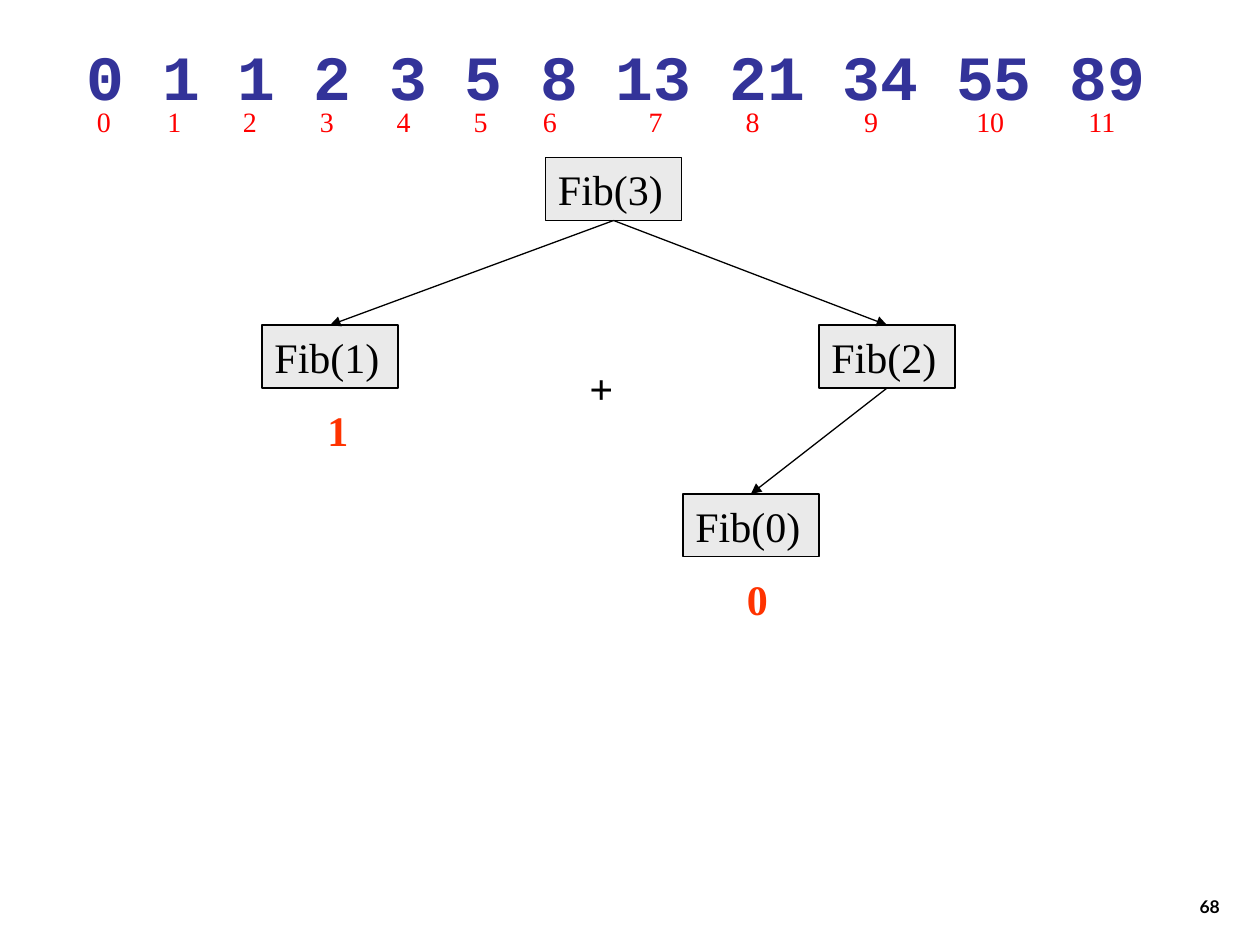
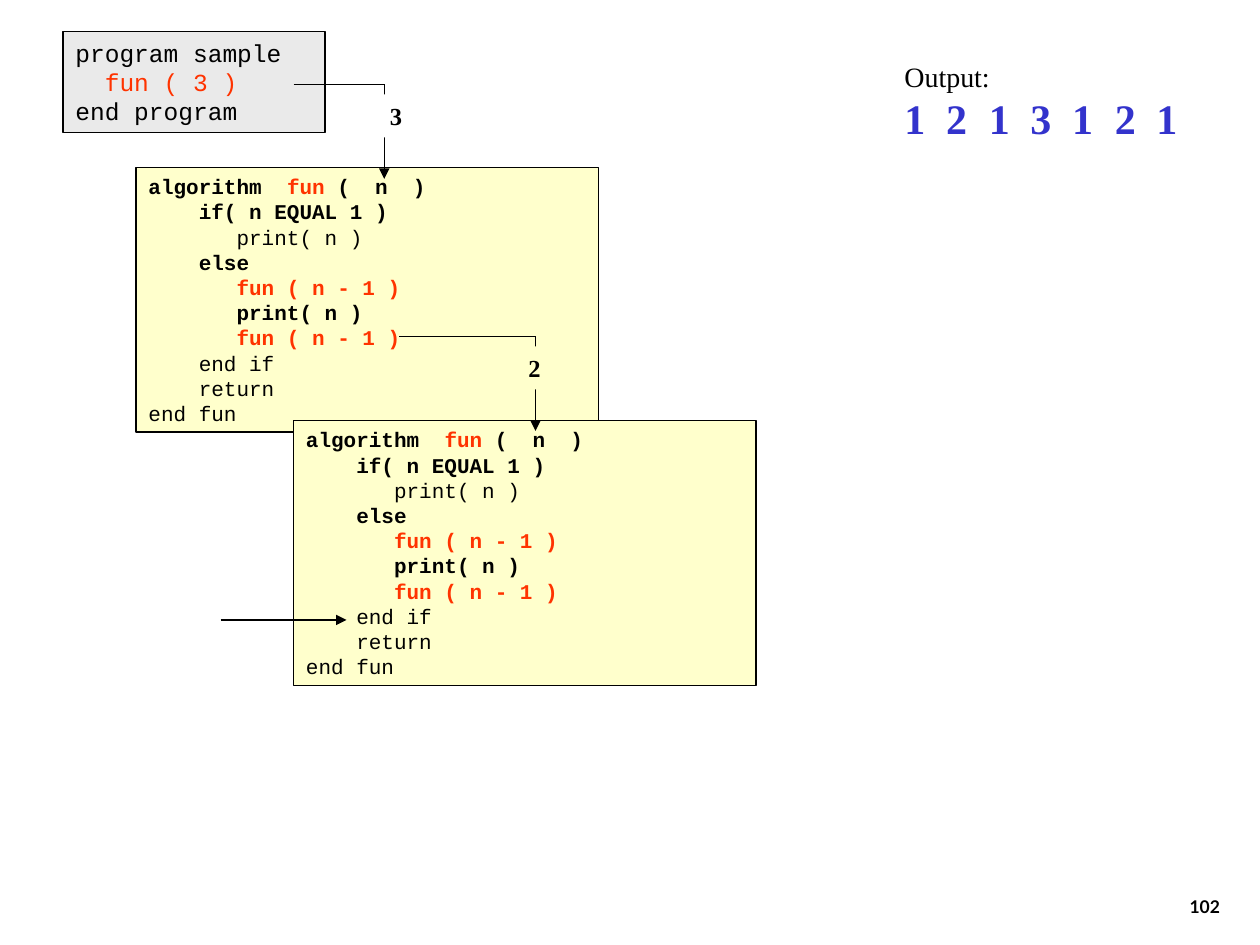
from lxml import etree
from pptx import Presentation
from pptx.dml.color import RGBColor
from pptx.enum import shapes, text
from pptx.oxml import ns
from pptx.util import Inches, Pt

BLACK = RGBColor(0x00, 0x00, 0x00)
WHITE = RGBColor(0xFF, 0xFF, 0xFF)
GRAY = RGBColor(0xEA, 0xEA, 0xEA)
CREAM = RGBColor(0xFF, 0xFF, 0xCC)
ORANGE = RGBColor(0xFF, 0x33, 0x00)
RED = RGBColor(0xFF, 0x00, 0x00)
NAVY = RGBColor(0x33, 0x33, 0x99)
BLUE = RGBColor(0x33, 0x33, 0xCC)

SERIF, MONO, SANS = "Times New Roman", "Courier New", "Lato"
LINE_WIDTH = Pt(0.75)
NODE_W, NODE_H = 1.08, 0.5

FIBONACCI = [0, 1, 1, 2, 3, 5, 8, 13, 21, 34, 55, 89]
INDEX_STOPS = [0.56, 1.16, 1.77, 2.38, 2.99, 3.54, 4.38, 5.15, 6.09, 6.98, 7.87]
OUTPUT = [1, 2, 1, 3, 1, 2, 1]

BOLD = {"bold": True}
CALL = {"bold": True, "color": ORANGE}
PROGRAM = ["program sample", [("  fun ( 3 )", {"color": ORANGE})], "end program"]
ALGORITHM = [
    [("algorithm  ", BOLD), ("fun ", CALL), ("(  n  )", BOLD)],
    [("    if( n EQUAL 1 )", BOLD)],
    "       print( n )",
    [("    else", BOLD)],
    [("       fun ( n - 1 )", CALL)],
    [("       print( n )", BOLD)],
    [("       fun ( n - 1 )", CALL)],
    "    end if",
    "    return",
    "end fun",
]


def set_tabs(paragraph, stops):
    tab_list = etree.SubElement(paragraph._p.get_or_add_pPr(), ns.qn("a:tabLst"))
    for stop in stops:
        etree.SubElement(tab_list, ns.qn("a:tab"), pos=str(Inches(stop)), algn="l")


def add_text(slide, box, paragraphs, size, font=SERIF, color=BLACK, bold=False,
             fill=None, border=False, align=text.PP_ALIGN.LEFT,
             anchor=text.MSO_ANCHOR.TOP, wrap=True, tabs=()):
    """Each paragraph is a string or a list of (words, format changes)."""
    place = [Inches(v) for v in box]
    if fill is None:
        holder = slide.shapes.add_textbox(*place)
    else:
        holder = slide.shapes.add_shape(shapes.MSO_SHAPE.RECTANGLE, *place)
        holder.shadow.inherit = False
        holder.fill.solid()
        holder.fill.fore_color.rgb = fill
        if border:
            holder.line.color.rgb = BLACK
            holder.line.width = LINE_WIDTH
        else:
            holder.line.fill.background()
    frame = holder.text_frame
    frame.word_wrap = wrap
    frame.vertical_anchor = anchor
    for i, content in enumerate(paragraphs):
        paragraph = frame.add_paragraph() if i else frame.paragraphs[0]
        paragraph.alignment = align
        if tabs:
            set_tabs(paragraph, tabs)
        runs = [(content, {})] if isinstance(content, str) else content
        for words, changes in runs:
            run = paragraph.add_run()
            run.text = words
            run.font.name = font
            run.font.size = Pt(changes.get("size", size))
            run.font.bold = changes.get("bold", bold)
            run.font.color.rgb = changes.get("color", color)
    return holder


def add_line(slide, start, end, arrow=True):
    line = slide.shapes.add_connector(
        shapes.MSO_CONNECTOR.STRAIGHT, *[Inches(v) for v in (*start, *end)])
    line.line.color.rgb = BLACK
    line.line.width = LINE_WIDTH
    if arrow:
        etree.SubElement(line.line._get_or_add_ln(), ns.qn("a:tailEnd"), type="triangle")
    etree.SubElement(line._element.spPr, ns.qn("a:effectLst"))
    return line


def add_page_number(slide, number):
    add_text(slide, (7.7, 6.83, 2.08, 0.5), [str(number)], 10, font=SANS, bold=True,
             align=text.PP_ALIGN.RIGHT, anchor=text.MSO_ANCHOR.BOTTOM)


# Fibonacci tree
def add_sequence(slide, left, top):
    add_text(slide, (left, top, 8.9, 0.7), [" ".join(map(str, FIBONACCI))], 36,
             font=MONO, color=NAVY, bold=True, wrap=False)
    indexes = "\t".join(str(i) for i in range(len(FIBONACCI)))
    add_text(slide, (left + 0.08, top + 0.53, 8.42, 0.37), [indexes], 16,
             color=RED, tabs=INDEX_STOPS)


def add_node(slide, left, top, n, result_offset=None):
    node = add_text(slide, (left, top, NODE_W, NODE_H), [f"Fib({n})"], 24,
                    fill=GRAY, border=True)
    if result_offset is not None:
        add_text(slide, (left + result_offset, top + 0.58, 0.42, 0.5), [str(n)], 24,
                 color=ORANGE, bold=True)
    return node


def add_branch(slide, parent, child):
    branch = add_line(slide, (0, 0), (1, 1))
    branch.begin_connect(parent, 2)
    branch.end_connect(child, 0)


def build_tree_slide(slide):
    add_sequence(slide, 0.59, 0.25)
    fib3 = add_node(slide, 4.33, 1.25, 3)
    fib1 = add_node(slide, 2.08, 2.58, 1, result_offset=0.42)
    fib2 = add_node(slide, 6.5, 2.58, 2)
    fib0 = add_node(slide, 5.42, 3.92, 0, result_offset=0.41)
    for parent, child in [(fib3, fib1), (fib3, fib2), (fib2, fib0)]:
        add_branch(slide, parent, child)
    add_text(slide, (4.58, 2.83, 0.48, 0.5), ["+"], 24, bold=True)
    add_page_number(slide, 68)


# Recursion trace
def add_algorithm(slide, left, top):
    add_text(slide, (left, top, 3.67, 2.1), ALGORITHM, 12, font=MONO,
             fill=CREAM, border=True)


def add_call(slide, start, corner_x, argument, label_left, label_width, fill):
    """Bent arrow from a call to the next listing, with the argument on it."""
    x, y = start
    add_line(slide, start, (corner_x, y), arrow=False)
    add_line(slide, (corner_x, y), (corner_x, y + 0.75))
    add_text(slide, (label_left, y + 0.08, label_width, 0.34), [str(argument)], 14,
             bold=True, fill=fill, align=text.PP_ALIGN.RIGHT, wrap=False)


def add_output(slide, left, top):
    values = "\t".join(map(str, OUTPUT))
    stops = [round(i / 3, 2) for i in range(1, len(OUTPUT))]
    add_text(slide, (left, top, 2.42, 0.77),
             ["Output:", [(values, {"size": 24, "color": BLUE, "bold": True})]],
             16, tabs=stops)


def build_trace_slide(slide):
    add_algorithm(slide, 1.08, 1.33)
    add_algorithm(slide, 2.33, 3.34)
    add_text(slide, (0.5, 0.25, 2.08, 0.8), PROGRAM, 14, font=MONO,
             fill=GRAY, border=True)
    add_output(slide, 7.08, 0.42)
    add_line(slide, (1.75, 4.92), (2.75, 4.92))  # current step
    add_call(slide, (2.33, 0.67), 3.05, 3, 2.9, 0.39, WHITE)
    add_call(slide, (3.17, 2.67), 4.25, 2, 3.95, 0.44, CREAM)
    add_page_number(slide, 102)


def main():
    deck = Presentation()
    deck.slide_width, deck.slide_height = Inches(10), Inches(7.5)
    for build in (build_tree_slide, build_trace_slide):
        build(deck.slides.add_slide(deck.slide_layouts[6]))
    deck.save("out.pptx")


if __name__ == "__main__":
    main()
